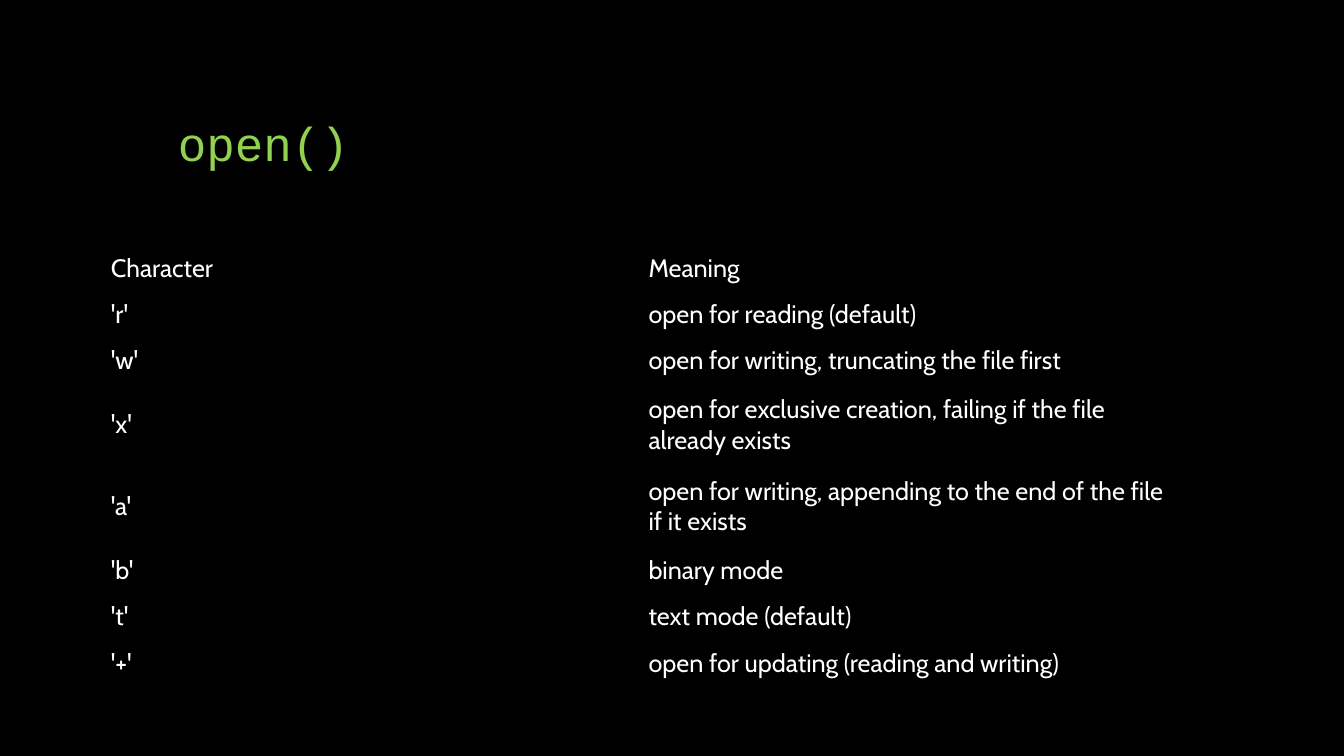
from typing import NamedTuple

from pptx import Presentation, util as u
from pptx.dml.color import RGBColor
from pptx.enum import text
from pptx.oxml.ns import qn

WIDTH, HEIGHT = 13.33, 7.5
BLACK, WHITE, GREEN = "000000", "FFFFFF", "92D050"
NO_STYLE_NO_GRID = "{2D5ABB26-0587-4C30-8999-92F81FD0307C}"
SINGLE_ROW, DOUBLE_ROW = 0.46, 0.81


class Mode(NamedTuple):
    character: str
    meaning: str
    height: float = SINGLE_ROW


MODES = [
    Mode("Character", "Meaning"),
    Mode("'r'", "open for reading (default)"),
    Mode("'w'", "open for writing, truncating the file first"),
    Mode("'x'", "open for exclusive creation, failing if the file already exists", DOUBLE_ROW),
    Mode("'a'", "open for writing, appending to the end of the file if it exists", DOUBLE_ROW),
    Mode("'b'", "binary mode"),
    Mode("'t'", "text mode (default)"),
    Mode("'+'", "open for updating (reading and writing)"),
]


def color(value: str) -> RGBColor:
    return RGBColor.from_string(value)


def set_font(para, name: str, size: float, value: str) -> None:
    para.font.name = name
    para.font.size = u.Pt(size)
    para.font.color.rgb = color(value)


def add_title(page, words: str) -> None:
    box = page.shapes.add_textbox(
        u.Inches(WIDTH / 8), u.Inches(HEIGHT / 15),
        u.Inches(WIDTH * 3 / 4), u.Inches(HEIGHT / 6))
    frame = box.text_frame
    frame.word_wrap = True
    frame.vertical_anchor = text.MSO_ANCHOR.BOTTOM
    para = frame.paragraphs[0]
    para.text = words
    para.line_spacing = 0.9
    set_font(para, "Courier New", 34, GREEN)


def add_mode_table(page, modes: list[Mode]) -> None:
    frame = page.shapes.add_table(
        len(modes), 2, u.Inches(1), u.Inches(2.43),
        u.Inches(WIDTH * 0.8), u.Inches(sum(mode.height for mode in modes)))
    table = frame.table
    table.first_row = table.horz_banding = False
    table._tbl.tblPr.find(qn("a:tableStyleId")).text = NO_STYLE_NO_GRID
    for row, mode in zip(table.rows, modes):
        row.height = u.Inches(mode.height)
        for cell, words in zip(row.cells, (mode.character, mode.meaning)):
            cell.fill.background()
            cell.vertical_anchor = text.MSO_ANCHOR.MIDDLE
            cell.text = words
            set_font(cell.text_frame.paragraphs[0], "Cabin", 18, WHITE)


# Deck and black page
deck = Presentation()
deck.slide_width, deck.slide_height = u.Inches(WIDTH), u.Inches(HEIGHT)
page = deck.slides.add_slide(deck.slide_layouts[6])
page.background.fill.solid()
page.background.fill.fore_color.rgb = color(BLACK)

# Title and table of file modes
add_title(page, "open()")
add_mode_table(page, MODES)

deck.save("out.pptx")
